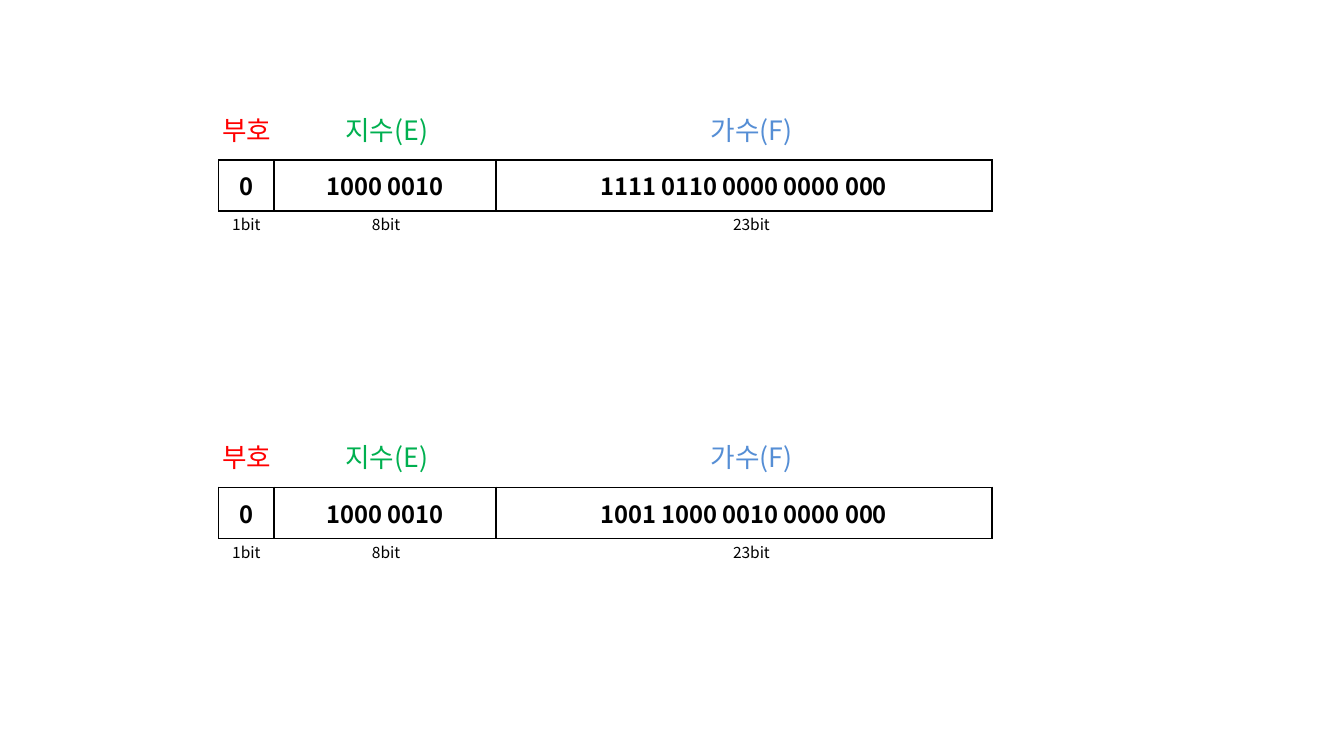
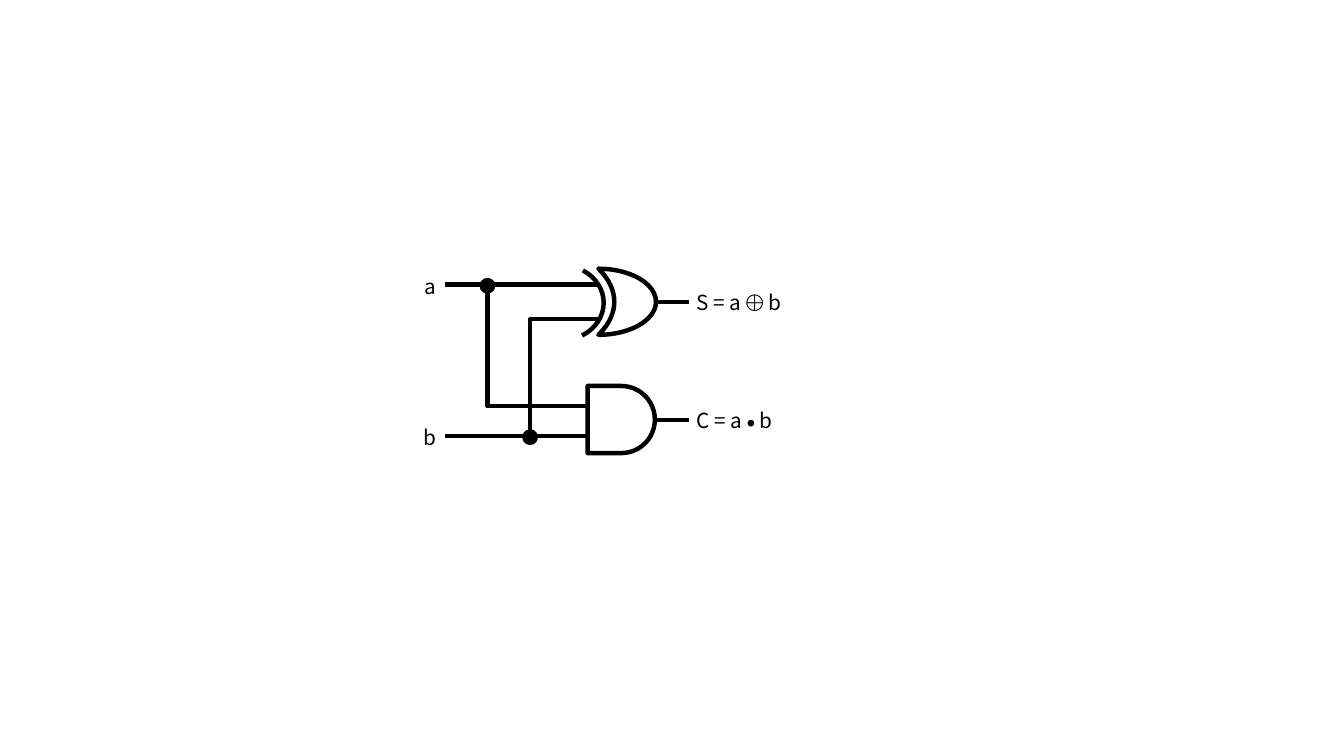
from dataclasses import dataclass

from lxml import etree
from pptx import Presentation
from pptx.dml.color import RGBColor
from pptx.enum import shapes, text
from pptx.oxml import ns
from pptx.util import Pt

PX = 9144
ANGLE = 60000
KIND = shapes.MSO_SHAPE
LINK = shapes.MSO_CONNECTOR
ALIGN = text.PP_ALIGN
ANCHOR = text.MSO_ANCHOR


@dataclass(frozen=True)
class Theme:
    ink: str = "000000"
    sign: str = "FF0000"
    exponent: str = "00B050"
    fraction: str = "558ED5"
    font: str = "Noto Sans CJK KR"
    symbol_font: str = "Cambria"
    heading: float = 18
    value: float = 16
    signal: float = 14
    size_note: float = 10.5
    wire: float = 3
    node: float = 2
    border: float = 1


THEME = Theme()


def child(parent, tag, **attributes):
    element = etree.SubElement(parent, ns.qn(tag))
    for name, value in attributes.items():
        element.set(name, str(value))
    return element


def write(frame, content, size, color=THEME.ink, bold=False, align=ALIGN.CENTER):
    paragraph = frame.paragraphs[0]
    paragraph.alignment = align
    pieces = [(content, THEME.font)] if isinstance(content, str) else content
    for words, font in pieces:
        run = paragraph.add_run()
        run.text = words
        run.font.size = Pt(size)
        run.font.bold = bold
        run.font.color.rgb = RGBColor.from_string(color)
        run.font.name = font
        child(run.font._element, "a:ea", typeface=font)


class Deck:
    def __init__(self, theme, width, height):
        self.theme = theme
        self.show = Presentation()
        self.show.slide_width = width * PX
        self.show.slide_height = height * PX
        self.slide = None

    def new_slide(self):
        self.slide = self.show.slides.add_slide(self.show.slide_layouts[6])

    def stroke(self, line, weight):
        line.color.rgb = RGBColor.from_string(self.theme.ink)
        line.width = Pt(weight)

    def label(self, box, content, size, wrap=False, anchor=ANCHOR.TOP, **style):
        frame = self.slide.shapes.add_textbox(*(n * PX for n in box)).text_frame
        frame.word_wrap = wrap
        frame.auto_size = text.MSO_AUTO_SIZE.SHAPE_TO_FIT_TEXT
        frame.vertical_anchor = anchor
        write(frame, content, size, **style)

    def outline(self, kind, box, adjust=(), rotation=0):
        shape = self.slide.shapes.add_shape(kind, *(n * PX for n in box))
        shape.shadow.inherit = False
        shape.fill.background()
        shape.rotation = rotation
        for index, value in enumerate(adjust):
            shape.adjustments[index] = value
        self.stroke(shape.line, self.theme.wire)
        return shape

    def node(self, x, y, size=12):
        dot = self.outline(KIND.OVAL, (x - size // 2, y - size // 2, size, size))
        dot.fill.solid()
        dot.fill.fore_color.rgb = RGBColor.from_string(self.theme.ink)
        dot.line.width = Pt(self.theme.node)

    def wire(self, start, end, kind=LINK.STRAIGHT):
        link = self.slide.shapes.add_connector(kind, *(n * PX for n in (*start, *end)))
        self.stroke(link.line, self.theme.wire)
        child(link._element.spPr, "a:effectLst")
        return link

    def vertical_elbow(self, start, end, bend):
        (x1, y1), (x2, y2) = start, end
        length, breadth = y2 - y1, abs(x2 - x1)
        left = (x1 + x2 - length) // 2
        top = (y1 + y2 - breadth) // 2
        near, far = left, left + length
        turn = 90
        if x2 > x1:
            near, far, turn = far, near, 270
        link = self.wire((near, top), (far, top + breadth), LINK.ELBOW)
        properties = link._element.spPr
        properties.find(ns.qn("a:xfrm")).set("rot", str(turn * ANGLE))
        guides = properties.find(ns.qn("a:prstGeom")).find(ns.qn("a:avLst"))
        child(guides, "a:gd", name="adj1", fmla=f"val {round(bend * 100000)}")

    def row_table(self, left, top, height, widths, values):
        frame = self.slide.shapes.add_table(
            1, len(values), left * PX, top * PX, sum(widths) * PX, height * PX)
        table = frame.table
        table.first_row = table.horz_banding = False
        table.rows[0].height = height * PX
        for index, (width, value) in enumerate(zip(widths, values)):
            table.columns[index].width = width * PX
            cell = table.cell(0, index)
            cell.vertical_anchor = ANCHOR.MIDDLE
            write(cell.text_frame, value, self.theme.value, bold=True)
            properties = cell._tc.get_or_add_tcPr()
            for side in ("a:lnL", "a:lnR", "a:lnT", "a:lnB"):
                border = child(properties, side, w=Pt(self.theme.border))
                child(child(border, "a:solidFill"), "a:srgbClr", val=self.theme.ink)
            cell.fill.background()


@dataclass(frozen=True)
class Field:
    heading: str
    color: str
    bits: str
    width: int
    center: int
    heading_width: int
    bits_width: int


FIELDS = (
    Field("부호", THEME.sign, "1bit", 52, 231, 67, 50),
    Field("지수(E)", THEME.exponent, "8bit", 208, 362, 131, 50),
    Field("가수(F)", THEME.fraction, "23bit", 465, 704, 131, 61),
)


def float_layout(deck, top, values):
    deck.row_table(205, top, 48, [field.width for field in FIELDS], values)
    for field in FIELDS:
        for words, width, y, height, size, color in (
            (field.heading, field.heading_width, top - 48, 40, THEME.heading, field.color),
            (field.bits, field.bits_width, top + 47, 28, THEME.size_note, THEME.ink),
        ):
            deck.label((field.center - width // 2, y, width, height), words, size, color=color)


def half_adder(deck):
    input_x, xor_x, and_x, gate_end, output_x = 417, 561, 551, 614, 646
    a_y, b_y, sum_y, carry_y = 267, 409, 283, 394
    a_branch, b_branch = 457, 497

    deck.outline(KIND.MOON, (xor_x, 252, 54, 62), (0.724,), 180)
    deck.outline(KIND.ARC, (488, 249, 78, 70), (181.7, 35.19))
    deck.outline(KIND.FLOWCHART_DELAY, (and_x, 362, 63, 63))

    for name, y, gate_x in (("a", a_y, xor_x), ("b", b_y, and_x)):
        deck.wire((input_x, y), (gate_x, y))
        deck.label((386, y - 16, 35, 34), name, THEME.signal, wrap=True, anchor=ANCHOR.MIDDLE)

    for name, operator, y in (("S", "⨁", sum_y), ("C", "⦁", carry_y)):
        deck.wire((gate_end, y), (output_x, y))
        formula = ((f"{name} = a ", THEME.font), (operator, THEME.symbol_font), (" b", THEME.font))
        deck.label((643, y - 17, 106, 34), formula, THEME.signal, wrap=True,
                   anchor=ANCHOR.MIDDLE, align=ALIGN.LEFT)

    deck.vertical_elbow((a_branch, 269), (and_x, 383), 0.98)
    deck.vertical_elbow((559, 297), (b_branch, 411), 0.02)
    deck.node(a_branch, a_y + 1)
    deck.node(b_branch, b_y + 1)


def main():
    deck = Deck(THEME, 1260, 709)
    deck.new_slide()
    float_layout(deck, 457, ("0", "1000 0010", "1001 1000 0010 0000 000"))
    float_layout(deck, 150, ("0", "1000 0010", "1111 0110 0000 0000 000"))
    deck.new_slide()
    half_adder(deck)
    deck.show.save("out.pptx")


if __name__ == "__main__":
    main()
